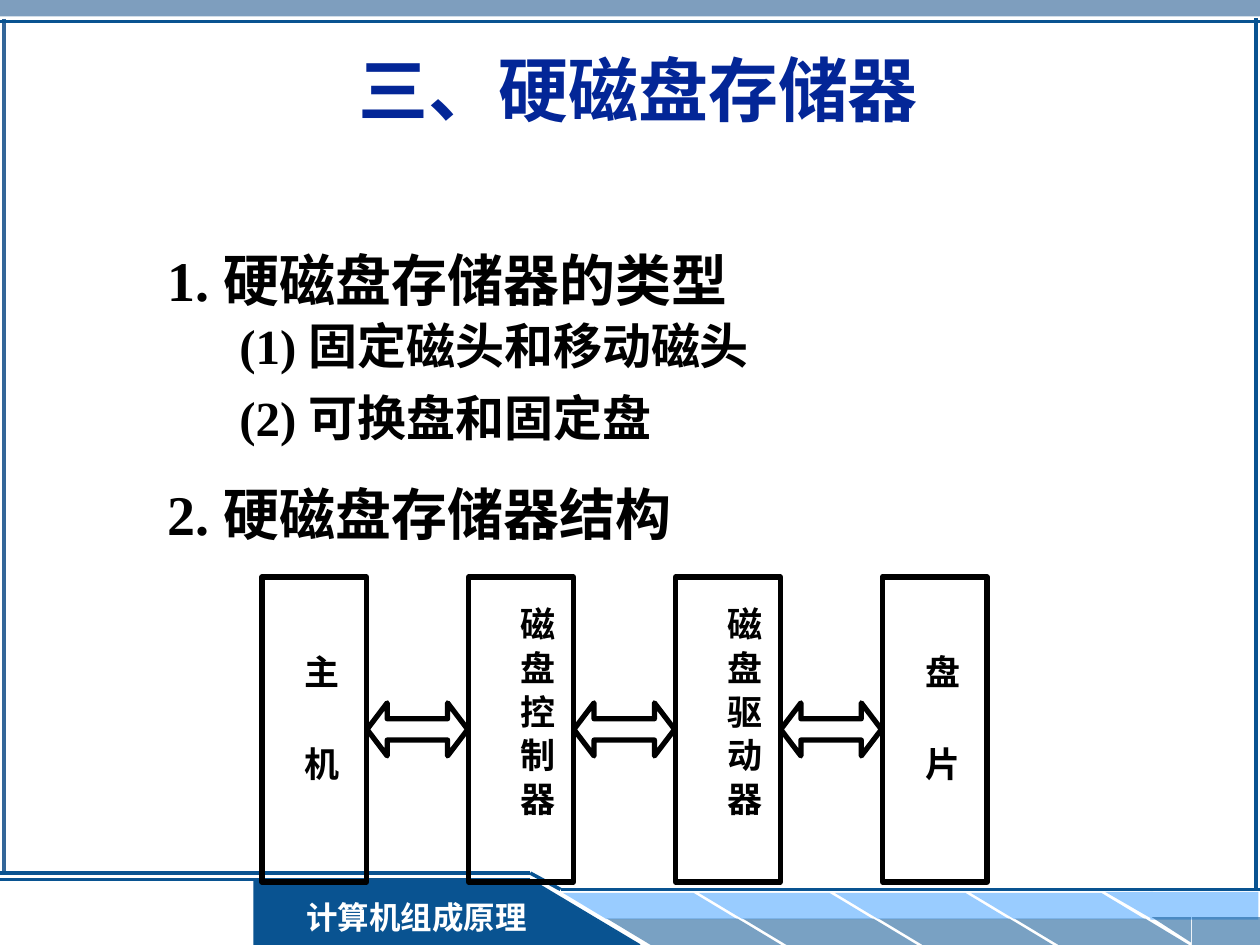
from dataclasses import dataclass

from lxml.etree import SubElement
from pptx import Presentation
from pptx.dml.color import RGBColor
from pptx.enum.shapes import MSO_CONNECTOR, MSO_SHAPE
from pptx.enum.text import MSO_ANCHOR, MSO_AUTO_SIZE, PP_ALIGN
from pptx.oxml.ns import qn
from pptx.util import Cm, Pt


@dataclass(frozen=True)
class Theme:
    title_color: str = "032697"
    ink: str = "000000"
    white: str = "FFFFFF"
    navy: str = "095391"
    steel: str = "336699"
    sky: str = "99CCFF"
    title_font: str = "Arial"
    text_font: str = "Times New Roman"
    title_size: int = 40
    heading_size: int = 32
    item_size: int = 28
    label_size: int = 20
    footer_size: int = 18


class SlideBuilder:
    """Draw styled elements on the current slide, with lengths in centimetres."""

    def __init__(self, slide, theme):
        self.slide = slide
        self.theme = theme

    def place(self, shape, left, top, width, height):
        shape.left, shape.top = Cm(left), Cm(top)
        shape.width, shape.height = Cm(width), Cm(height)

    def style(self, paragraph, size, color, name=None):
        font = paragraph.font
        font.name = name or self.theme.text_font
        font.size = Pt(size)
        font.bold = True
        font.color.rgb = RGBColor.from_string(color)

    def title(self, text, box):
        shape = self.slide.shapes.title
        self.place(shape, *box)
        frame = shape.text_frame
        frame.text = text
        frame.vertical_anchor = MSO_ANCHOR.MIDDLE
        frame.auto_size = MSO_AUTO_SIZE.NONE
        paragraph = frame.paragraphs[0]
        paragraph.alignment = PP_ALIGN.CENTER
        self.style(paragraph, self.theme.title_size, self.theme.title_color, self.theme.title_font)

    def outline(self, entries, box):
        shape = self.slide.placeholders[1]
        self.place(shape, *box)
        frame = shape.text_frame
        frame.text = "\n".join(text for text, _, _ in entries)
        frame.auto_size = MSO_AUTO_SIZE.NONE
        for paragraph, (_, level, space) in zip(frame.paragraphs, entries):
            paragraph.level = level
            paragraph.space_before = Pt(space)
            paragraph.line_spacing = Pt((39, 34)[level])
            properties = paragraph._p.get_or_add_pPr()
            properties.set("marL", str(Cm(1.45 * level)))
            properties.set("indent", "0")
            SubElement(properties, qn("a:buNone"))
            size = (self.theme.heading_size, self.theme.item_size)[level]
            self.style(paragraph, size, self.theme.ink)

    def shape(self, kind, box, fill=None, alpha=None, line=None, adjustments=(), flip=""):
        shape = self.slide.shapes.add_shape(kind, *map(Cm, box))
        shape.shadow.inherit = False
        for index, value in enumerate(adjustments):
            shape.adjustments[index] = value
        for axis in flip:
            shape._element.spPr.xfrm.set(f"flip{axis}", "1")
        if fill:
            shape.fill.solid()
            shape.fill.fore_color.rgb = RGBColor.from_string(fill)
        else:
            shape.fill.background()
        if alpha:
            color = shape._element.spPr.find(qn("a:solidFill"))[0]
            SubElement(color, qn("a:alpha")).set("val", str(alpha * 1000))
        if line:
            shape.line.color.rgb = RGBColor.from_string(line)
            shape.line.width = Pt(3)
        else:
            shape.line.fill.background()
        return shape

    def line(self, start, end, color, width=2):
        connector = self.slide.shapes.add_connector(
            MSO_CONNECTOR.STRAIGHT, *map(Cm, start + end))
        connector.line.color.rgb = RGBColor.from_string(color)
        connector.line.width = Pt(width)
        SubElement(connector._element.spPr, qn("a:effectLst"))

    def banner(self, text, box):
        frame = self.shape(MSO_SHAPE.RECTANGLE, box, self.theme.navy).text_frame
        frame.text = text
        frame.vertical_anchor = MSO_ANCHOR.MIDDLE
        paragraph = frame.paragraphs[0]
        paragraph.alignment = PP_ALIGN.CENTER
        self.style(paragraph, self.theme.footer_size, self.theme.white)

    def vertical_label(self, text, box):
        frame = self.slide.shapes.add_textbox(*map(Cm, box)).text_frame
        frame.text = text
        frame.word_wrap = False
        frame.auto_size = MSO_AUTO_SIZE.SHAPE_TO_FIT_TEXT
        frame.margin_left = frame.margin_right = Cm(0.13)
        frame.margin_top = frame.margin_bottom = Cm(0.25)
        frame._txBody.bodyPr.set("vert", "eaVert")
        paragraph = frame.paragraphs[0]
        if "\t" in text:
            tabs = SubElement(paragraph._p.get_or_add_pPr(), qn("a:tabLst"))
            tab = SubElement(tabs, qn("a:tab"))
            tab.set("pos", str(Cm(1.85)))
            tab.set("algn", "l")
        self.style(paragraph, self.theme.label_size, self.theme.ink)


def draw_frame(builder):
    theme = builder.theme
    rectangle, triangle = MSO_SHAPE.RECTANGLE, MSO_SHAPE.RIGHT_TRIANGLE
    builder.shape(rectangle, (0, 0, 25.4, 0.33), theme.steel, 63)
    builder.line((0.08, 0.38), (0.08, 17.6), theme.steel)
    builder.shape(rectangle, (5.11, 17.73, 5.59, 1.32), theme.navy)
    builder.line((12.9, 19.05), (10.69, 17.73), theme.navy, 1)
    builder.line((0, 17.73), (10.69, 17.73), theme.navy, 1.5)
    builder.line((0, 17.6), (10.69, 17.6), theme.navy)
    for index in range(4):
        left = 11.35 + 2.74 * index
        for offset, top, fill, alpha in ((0, 18, theme.sky, None), (0.89, 18.52, theme.navy, 54)):
            builder.shape(MSO_SHAPE.PARALLELOGRAM, (left + offset, top, 3.51, 0.53),
                          fill, alpha, adjustments=(1.66,), flip="H")
    builder.shape(rectangle, (23.19, 17.98, 2.18, 0.56), theme.sky)
    builder.shape(triangle, (22.28, 17.98, 0.97, 0.56), theme.sky, flip="HV")
    builder.shape(rectangle, (24.03, 18.49, 1.37, 0.56), theme.navy, 54)
    builder.shape(triangle, (23.22, 18.49, 0.79, 0.51), theme.navy, 54, flip="HV")
    builder.line((11.3, 17.93), (25.4, 17.93), theme.navy)
    builder.banner("计算机组成原理", (5.79, 17.98, 5.21, 1.02))
    builder.shape(triangle, (10.67, 17.73, 2.21, 1.32), theme.navy)
    builder.line((10.69, 17.6), (11.3, 17.93), theme.navy)
    builder.line((0, 0.43), (25.4, 0.43), theme.navy)
    builder.line((25.32, 0.36), (25.32, 17.96), theme.navy)


def draw_disk_structure(builder):
    labels = ("主\t机", "磁 盘 控 制 器", "磁 盘 驱 动 器", "盘\t片")
    pitch = 4.17
    ink = builder.theme.ink
    for index, label in enumerate(labels):
        left = 5.28 + pitch * index
        builder.shape(MSO_SHAPE.RECTANGLE, (left, 11.63, 2.11, 6.15), line=ink)
        offset, top, height = (0.4, 12.95, 2.79) if "\t" in label else (0.58, 11.99, 4.45)
        builder.vertical_label(label, (left + offset, top, 1.35, height))
    for index in range(len(labels) - 1):
        builder.shape(MSO_SHAPE.LEFT_RIGHT_ARROW, (7.4 + pitch * index, 14.17, 2.03, 1.07),
                      line=ink, adjustments=(0.4, 0.38))


def main():
    presentation = Presentation()
    presentation.slide_width, presentation.slide_height = Cm(25.4), Cm(19.05)
    slide = presentation.slides.add_slide(presentation.slide_layouts[1])
    builder = SlideBuilder(slide, Theme())
    draw_frame(builder)
    builder.title("三、硬磁盘存储器", (0.84, 0.89, 24.05, 1.8))
    builder.outline((
        ("1. 硬磁盘存储器的类型", 0, 0),
        ("(1) 固定磁头和移动磁头", 1, 1.5),
        ("(2) 可换盘和固定盘", 1, 7),
        ("2. 硬磁盘存储器结构", 0, 18.5),
    ), (3.12, 4.8, 15.5, 6.35))
    draw_disk_structure(builder)
    presentation.save("out.pptx")


if __name__ == "__main__":
    main()
